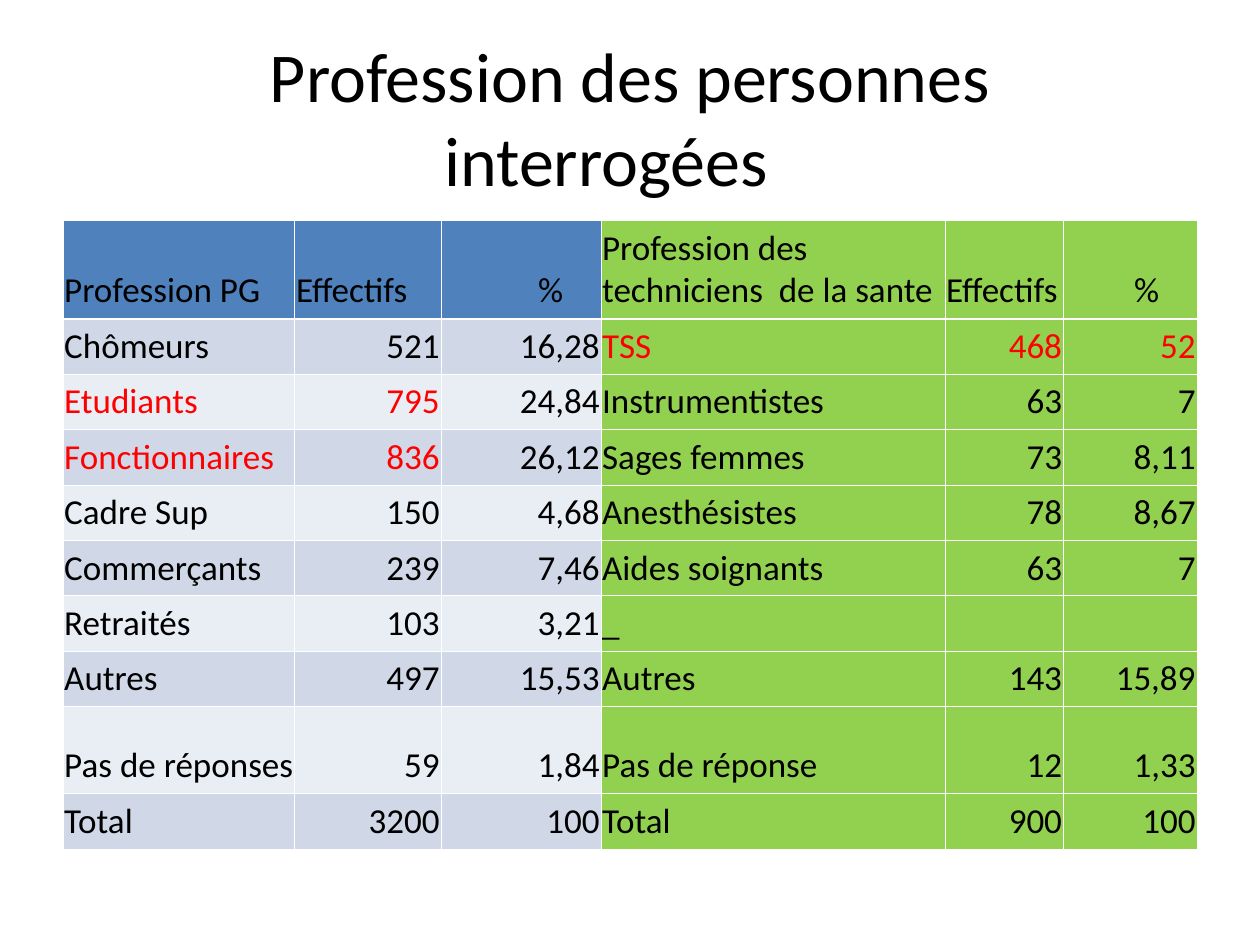
from lxml import etree
from pptx import Presentation
from pptx import util as u
from pptx.dml.color import RGBColor
from pptx.enum import text
from pptx.oxml.ns import qn

BLACK = RGBColor(0x00, 0x00, 0x00)
RED = RGBColor(0xFF, 0x00, 0x00)
WHITE = RGBColor(0xFF, 0xFF, 0xFF)
BLUE = RGBColor(0x4F, 0x81, 0xBD)
GREEN = RGBColor(0x92, 0xD0, 0x50)
BANDS = RGBColor(0xE9, 0xED, 0xF4), RGBColor(0xD0, 0xD8, 0xE8)

WIDE, HIGH = u.Inches(10), u.Inches(7.5)
COLS = 1.84, 1.16, 1.27, 2.73, 0.94, 1.06
ROWS = (0.78,) + (0.44,) * 7 + (0.69, 0.44)
SPLIT = 3  # first column of the right half
LABELS = 0, SPLIT
REDS = {(1, 3), (1, 4), (1, 5), (2, 0), (2, 1), (3, 0), (3, 1)}
DATA = (
    ("Profession PG", "Effectifs", "%",
     "Profession des techniciens  de la sante", "Effectifs", "%"),
    ("Chômeurs", "521", "16,28", "TSS", "468", "52"),
    ("Etudiants", "795", "24,84", "Instrumentistes", "63", "7"),
    ("Fonctionnaires", "836", "26,12", "Sages femmes", "73", "8,11"),
    ("Cadre Sup", "150", "4,68", "Anesthésistes", "78", "8,67"),
    ("Commerçants", "239", "7,46", "Aides soignants", "63", "7"),
    ("Retraités", "103", "3,21", "_", "", ""),
    ("Autres", "497", "15,53", "Autres", "143", "15,89"),
    ("Pas de réponses", "59", "1,84", "Pas de réponse", "12", "1,33"),
    ("Total", "3200", "100", "Total", "900", "100"),
)


def share(x, y, w, h):
    """Turn shares of the slide into a box."""
    return int(x * WIDE), int(y * HIGH), int(w * WIDE), int(h * HIGH)


def add_run(para, words, size, color):
    run = para.add_run()
    run.text = words
    run.font.name = "Calibri"
    run.font.size = u.Pt(size)
    run.font.color.rgb = color


def add_title(slide, box):
    frame = slide.shapes.add_textbox(*box).text_frame
    frame.word_wrap = True
    frame.vertical_anchor = text.MSO_ANCHOR.MIDDLE
    first, last = frame.paragraphs[0], frame.add_paragraph()
    for para, words in ((first, "Profession des personnes"),
                        (last, "interrogées")):
        para.alignment = text.PP_ALIGN.CENTER
        add_run(para, words, 40, BLACK)
    # The second line sits a little left of the centre
    last._p.get_or_add_pPr().set("marR", str(u.Inches(0.38)))


def add_edges(cell, row):
    """Draw white cell borders, heavier under the header."""
    thick = {"lnT": row == 1, "lnB": row == 0}
    props = cell._tc.get_or_add_tcPr()
    for spot, side in enumerate(("lnL", "lnR", "lnT", "lnB")):
        line = etree.Element(qn("a:" + side))
        line.set("w", str(u.Pt(1.47 if thick.get(side) else 0.45)))
        fill = etree.SubElement(line, qn("a:solidFill"))
        etree.SubElement(fill, qn("a:srgbClr")).set("val", str(WHITE))
        props.insert(spot, line)


def pick_fill(row, col):
    if col >= SPLIT:
        return GREEN
    return BANDS[row % 2] if row else BLUE


def fill_cell(cell, row, col, words):
    cell.fill.solid()
    cell.fill.fore_color.rgb = pick_fill(row, col)
    add_edges(cell, row)
    cell.vertical_anchor = text.MSO_ANCHOR.BOTTOM
    cell.margin_left = u.Inches(0.01)
    cell.margin_right = u.Inches(0.3 if words == "%" else 0.01)
    para = cell.text_frame.paragraphs[0]
    left = col in LABELS or words == "Effectifs"
    para.alignment = text.PP_ALIGN.LEFT if left else text.PP_ALIGN.RIGHT
    if words:
        add_run(para, words, 20, RED if (row, col) in REDS else BLACK)


def add_grid(slide, box):
    table = slide.shapes.add_table(len(ROWS), len(COLS), *box).table
    for col, part in zip(table.columns, COLS):
        col.width = int(box[2] * part / sum(COLS))
    for row, part in zip(table.rows, ROWS):
        row.height = int(box[3] * part / sum(ROWS))
    for row, line in enumerate(DATA):
        for col, words in enumerate(line):
            fill_cell(table.cell(row, col), row, col, words)


def main():
    deck = Presentation()
    deck.slide_width, deck.slide_height = WIDE, HIGH
    slide = deck.slides.add_slide(deck.slide_layouts[6])
    add_title(slide, share(0.05, 0.04, 0.9, 1 / 6))
    add_grid(slide, share(0.05, 7 / 30, 0.9, sum(ROWS) / 7.5))
    deck.save("out.pptx")


if __name__ == "__main__":
    main()
